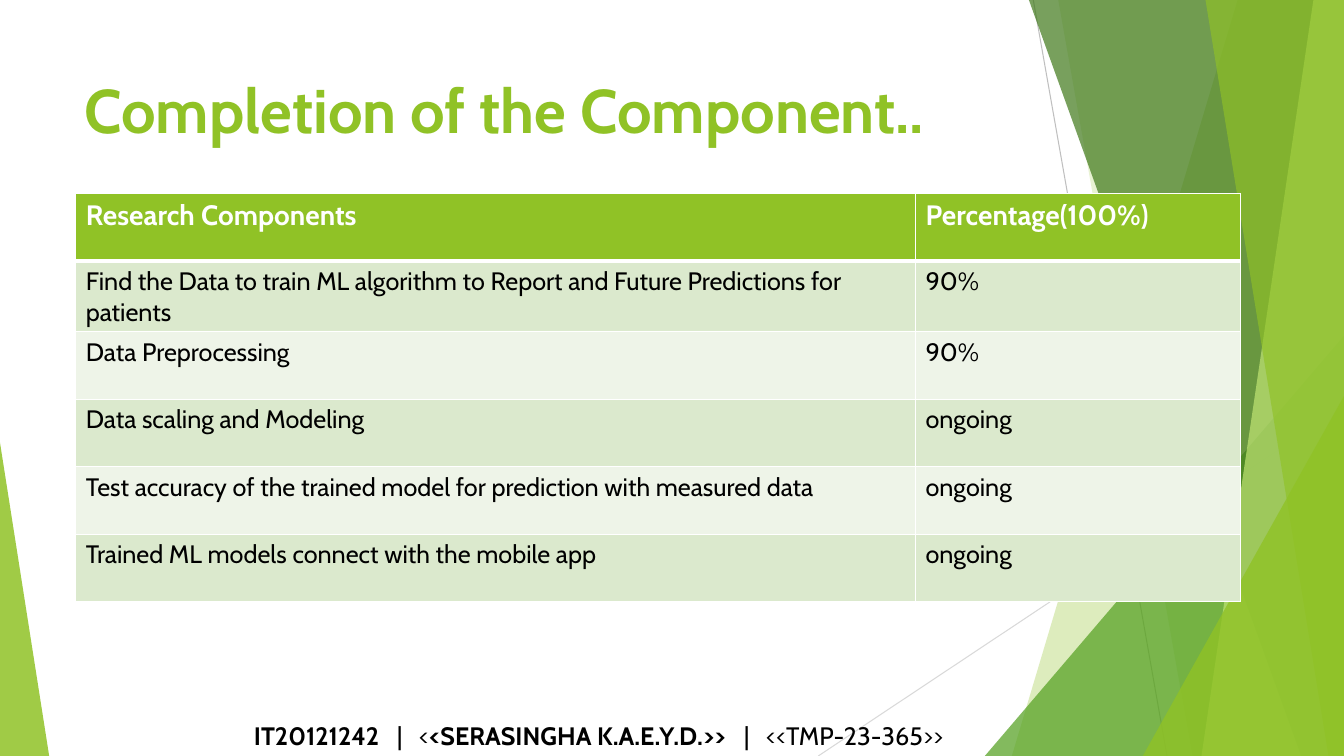
"""Build the component completion slide with its faceted green backdrop."""
from dataclasses import dataclass

from lxml.etree import SubElement
from pptx import Presentation
from pptx.dml.color import RGBColor
from pptx.enum.shapes import MSO_CONNECTOR, MSO_SHAPE
from pptx.enum.text import MSO_ANCHOR
from pptx.oxml.ns import qn
from pptx.shapes.autoshape import Shape
from pptx.slide import Slide
from pptx.table import _Cell
from pptx.util import Cm, Pt

FONT = "Cabin"
WHITE = RGBColor(0xFF, 0xFF, 0xFF)
BLACK = RGBColor(0x00, 0x00, 0x00)
LIME = RGBColor(0x90, 0xC2, 0x26)
GREEN = RGBColor(0x54, 0xA0, 0x21)
FOREST = RGBColor(0x3F, 0x78, 0x19)
PALE_LIME = RGBColor(0xC0, 0xE4, 0x74)
ROW_DARK = RGBColor(0xDB, 0xE9, 0xCD)
ROW_LIGHT = RGBColor(0xEE, 0xF4, 0xE8)
GREY = RGBColor(0xBF, 0xBF, 0xBF)
LIGHT_GREY = RGBColor(0xD9, 0xD9, 0xD9)

SLIDE_WIDTH = 33.87
SLIDE_HEIGHT = 19.05
COLUMN_WIDTHS = (21.16, 8.2)
ROW_HEIGHT = 1.7
FOOTER_TABS = (3.6, 4.16, 12.35, 12.9)


@dataclass
class Ray:
    start: tuple[float, float]
    end: tuple[float, float]
    color: RGBColor


@dataclass
class Band:
    top_left: float
    bottom_left: float
    color: RGBColor
    opacity: int


@dataclass
class Peak:
    left: float
    top: float
    width: float
    apex: float
    color: RGBColor
    opacity: int


@dataclass
class TextRun:
    text: str
    size: int
    color: RGBColor
    bold: bool = False


RAYS = [
    Ray((26.04, 0), (29.41, SLIDE_HEIGHT), GREY),
    Ray((SLIDE_WIDTH, 10.24), (20.62, SLIDE_HEIGHT), LIGHT_GREY),
]
FACETS = [
    Band(31.19, 25.5, LIME, 30),
    Band(26.67, 30.05, LIME, 20),
    Peak(24.82, 8.46, 9.05, 1, GREEN, 72),
    Band(25.93, 32.79, FOREST, 70),
    Band(33.1, 30.28, PALE_LIME, 70),
    Band(30.38, 33.48, LIME, 65),
    Peak(28.8, 9.98, 5.07, 1, LIME, 80),
    Peak(0, 11.15, 1.24, 0, LIME, 85),
]
TITLE = [TextRun("Completion of the Component..", 44, LIME, True)]
FOOTER = [
    TextRun("IT20121242", 18, BLACK, True),
    TextRun("\t|\t<", 18, BLACK),
    TextRun("<SERASINGHA K.A.E.Y.D.>>\t", 18, BLACK, True),
    TextRun("|\t<<TMP-23-365>>", 18, BLACK),
]
PROGRESS = [
    ("Research Components", "Percentage(100%)"),
    ("Find the Data to train ML algorithm to Report and Future Predictions for patients", "90%"),
    ("Data Preprocessing", "90%"),
    ("Data scaling and Modeling", "ongoing"),
    ("Test accuracy of the trained model for prediction with measured data", "ongoing"),
    ("Trained ML models connect with the mobile app", "ongoing"),
]


def add_ray(slide: Slide, ray: Ray) -> None:
    """Draw one thin background line."""
    points = [Cm(value) for value in (*ray.start, *ray.end)]
    connector = slide.shapes.add_connector(MSO_CONNECTOR.STRAIGHT, *points)
    connector.line.color.rgb = ray.color
    connector.line.width = Pt(0.75)
    SubElement(connector._element.spPr, qn("a:effectLst"))


def add_facet(slide: Slide, facet: Band | Peak) -> None:
    """Draw one translucent facet reaching the bottom of the slide."""
    if isinstance(facet, Band):
        builder = slide.shapes.build_freeform(Cm(facet.top_left), 0)
        corners = [(SLIDE_WIDTH, 0), (SLIDE_WIDTH, SLIDE_HEIGHT), (facet.bottom_left, SLIDE_HEIGHT)]
        builder.add_line_segments([(Cm(x), Cm(y)) for x, y in corners])
        shape = builder.convert_to_shape()
    else:
        shape = slide.shapes.add_shape(
            MSO_SHAPE.ISOSCELES_TRIANGLE, Cm(facet.left), Cm(facet.top),
            Cm(facet.width), Cm(SLIDE_HEIGHT - facet.top))
        shape.adjustments[0] = facet.apex
    shape.shadow.inherit = False
    shape.line.fill.background()
    shape.fill.solid()
    shape.fill.fore_color.rgb = facet.color
    color = shape._element.spPr.find(qn("a:solidFill")).find(qn("a:srgbClr"))
    SubElement(color, qn("a:alpha"), val=str(facet.opacity * 1000))


def add_runs(holder: Shape | _Cell, runs: list[TextRun]) -> None:
    """Append styled runs to the first paragraph."""
    paragraph = holder.text_frame.paragraphs[0]
    for item in runs:
        run = paragraph.add_run()
        run.text = item.text
        run.font.name = FONT
        run.font.size = Pt(item.size)
        run.font.bold = item.bold
        run.font.color.rgb = item.color


def add_text(slide: Slide, left: float, top: float, width: float, height: float,
             runs: list[TextRun], anchor: MSO_ANCHOR, tabs: tuple[float, ...] = ()) -> None:
    """Add a wrapped text box with optional tab stops."""
    box = slide.shapes.add_textbox(Cm(left), Cm(top), Cm(width), Cm(height))
    box.text_frame.word_wrap = True
    box.text_frame.vertical_anchor = anchor
    if tabs:
        properties = box.text_frame.paragraphs[0]._p.get_or_add_pPr()
        tab_list = SubElement(properties, qn("a:tabLst"))
        for position in tabs:
            SubElement(tab_list, qn("a:tab"), pos=str(Cm(position)), algn="l")
    add_runs(box, runs)


def style_cell(cell: _Cell, row: int) -> None:
    """Give a cell its white borders and row fill."""
    widths = {"L": 1, "R": 1, "T": 3 if row == 1 else 1, "B": 3 if row == 0 else 1}
    properties = cell._tc.get_or_add_tcPr()
    for side, width in widths.items():
        border = SubElement(properties, qn(f"a:ln{side}"), w=str(Pt(width)))
        fill = SubElement(border, qn("a:solidFill"))
        SubElement(fill, qn("a:srgbClr"), val=str(WHITE))
    cell.fill.solid()
    banding = ROW_DARK if row % 2 else ROW_LIGHT
    cell.fill.fore_color.rgb = banding if row else LIME


def add_progress_table(slide: Slide) -> None:
    """Add the table of research components and their progress."""
    frame = slide.shapes.add_table(
        len(PROGRESS), len(COLUMN_WIDTHS), Cm(1.91), Cm(4.88),
        Cm(sum(COLUMN_WIDTHS)), Cm(ROW_HEIGHT * len(PROGRESS)))
    table = frame.table
    for column, width in zip(table.columns, COLUMN_WIDTHS):
        column.width = Cm(width)
    for row, texts in enumerate(PROGRESS):
        table.rows[row].height = Cm(ROW_HEIGHT)
        for column, text in enumerate(texts):
            cell = table.cell(row, column)
            style_cell(cell, row)
            add_runs(cell, [TextRun(text, 18, BLACK) if row else TextRun(text, 20, WHITE, True)])


def main() -> None:
    """Assemble and save the presentation."""
    presentation = Presentation()
    presentation.slide_width = Cm(SLIDE_WIDTH)
    presentation.slide_height = Cm(SLIDE_HEIGHT)
    slide = presentation.slides.add_slide(presentation.slide_layouts[6])
    for ray in RAYS:
        add_ray(slide, ray)
    for facet in FACETS:
        add_facet(slide, facet)
    add_text(slide, 6.15, 18.03, 20.75, 1.02, FOOTER, MSO_ANCHOR.MIDDLE, FOOTER_TABS)
    add_text(slide, 1.88, 1.7, 23.88, 3.66, TITLE, MSO_ANCHOR.TOP)
    add_progress_table(slide)
    presentation.save("out.pptx")


if __name__ == "__main__":
    main()
